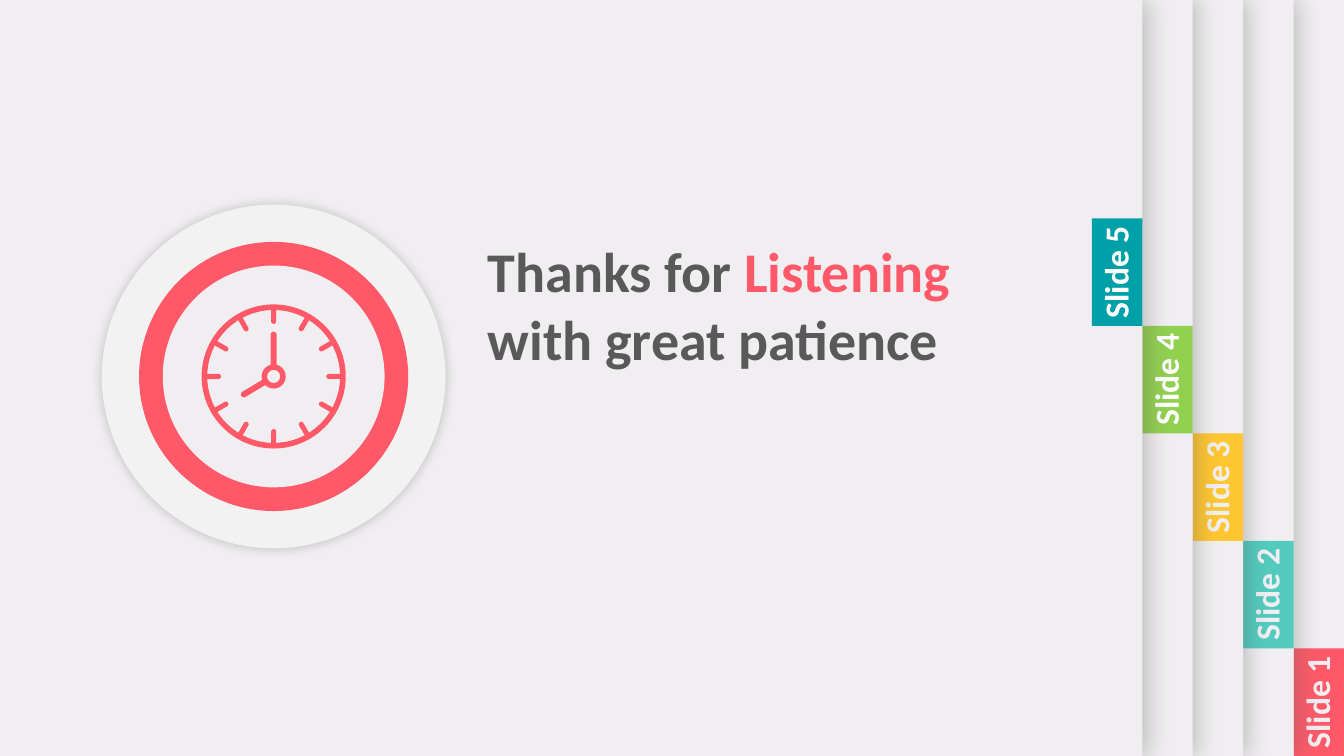
from dataclasses import dataclass
from math import cos, radians, sin

from lxml.etree import SubElement
from pptx import Presentation
from pptx.dml.color import RGBColor
from pptx.enum.shapes import MSO_SHAPE
from pptx.enum.text import MSO_ANCHOR, MSO_AUTO_SIZE, PP_ALIGN
from pptx.oxml.ns import qn
from pptx.shapes.autoshape import Shape
from pptx.slide import Slide
from pptx.text.text import Font
from pptx.util import Emu, Inches, Pt

COLUMNS, ROWS = 80, 45
SLIDE_WIDTH, SLIDE_HEIGHT = Inches(13.33), Inches(7.5)
TAB_WIDTH, TAB_HEIGHT = 3, 6.4
PANEL_WIDTH = 81.9
CLOCK_X, CLOCK_Y = 16.29, 22.41


@dataclass(frozen=True)
class Theme:
    paper: str = "F0EEF0"
    ink: str = "595959"
    accent: str = "FF5969"
    rim: str = "F2F2F2"
    white: str = "FFFFFF"
    black: str = "000000"
    font: str = "Calibri"
    title_size: int = 40
    label_size: int = 24


@dataclass(frozen=True)
class Shadow:
    color: str
    opacity: int
    blur: float
    distance: float


@dataclass(frozen=True)
class Tab:
    label: str
    fill: str
    text_color: str


@dataclass(frozen=True)
class Disc:
    diameter: float
    fill: str
    shadow: Shadow | None = None


@dataclass(frozen=True)
class Ray:
    """A clock tick or hand, placed by its angle from twelve and its radius."""
    angle: float
    radius: float
    width: float
    length: float
    kind: MSO_SHAPE
    adjustments: tuple[float, ...]


THEME = Theme()
PANEL_SHADOW = Shadow(THEME.ink, 35, 17, 3)
DISC_SHADOW = Shadow(THEME.black, 20, 8, 0)

TABS = [
    Tab("Slide 1", THEME.accent, THEME.paper),
    Tab("Slide 2", "52CBBE", THEME.paper),
    Tab("Slide 3", "FEC630", THEME.paper),
    Tab("Slide 4", "92D050", THEME.white),
    Tab("Slide 5", "00A0A8", THEME.white),
]
DISCS = [
    Disc(20.46, THEME.rim, DISC_SHADOW),
    Disc(16.02, THEME.accent),
    Disc(13.2, THEME.paper),
]
TICKS = [Ray(30 * hour, 3.63, 0.3, 1, MSO_SHAPE.ROUNDED_RECTANGLE, (0.5,))
         for hour in range(12)]
HANDS = [
    Ray(239, 1.38, 0.36, 1.74, MSO_SHAPE.ROUND_2_SAME_RECTANGLE, (0.5, 0)),
    Ray(0, 1.65, 0.36, 2.04, MSO_SHAPE.ROUND_2_SAME_RECTANGLE, (0.5, 0)),
]
RINGS = [(8.58, 0.039), (1.44, 0.226)]
TITLE_RUNS = [
    ("Thanks for ", THEME.ink),
    ("Listening ", THEME.accent),
    ("with great patience", THEME.ink),
]


def cells(left: float, top: float, width: float, height: float) -> tuple[Emu, ...]:
    """Turn grid columns and rows into slide lengths."""
    column, row = SLIDE_WIDTH / COLUMNS, SLIDE_HEIGHT / ROWS
    return (Emu(round(left * column)), Emu(round(top * row)),
            Emu(round(width * column)), Emu(round(height * row)))


def centered(x: float, y: float, width: float, height: float) -> tuple[Emu, ...]:
    return cells(x - width / 2, y - height / 2, width, height)


def style_font(font: Font, size: int, color: str) -> None:
    font.name, font.size, font.bold = THEME.font, Pt(size), True
    font.color.rgb = RGBColor.from_string(color)


def add_filled(slide: Slide, kind: MSO_SHAPE, frame: tuple[Emu, ...], fill: str,
               adjustments: tuple[float, ...] = ()) -> Shape:
    shape = slide.shapes.add_shape(kind, *frame)
    shape.shadow.inherit = False
    shape.fill.solid()
    shape.fill.fore_color.rgb = RGBColor.from_string(fill)
    shape.line.fill.background()
    for index, value in enumerate(adjustments):
        shape.adjustments[index] = value
    return shape


def cast_shadow(shape: Shape, shadow: Shadow) -> None:
    effects = shape.element.spPr.find(qn("a:effectLst"))
    outer = SubElement(effects, qn("a:outerShdw"), blurRad=str(Pt(shadow.blur)),
                       dist=str(Pt(shadow.distance)), dir="0", algn="ctr",
                       rotWithShape="0")
    color = SubElement(outer, qn("a:srgbClr"), val=shadow.color)
    SubElement(color, qn("a:alpha"), val=str(shadow.opacity * 1000))


def add_tab_panel(slide: Slide, index: int, tab: Tab) -> None:
    right = COLUMNS - TAB_WIDTH * index
    left, top = right - TAB_WIDTH, ROWS - TAB_HEIGHT * (index + 1)
    panel = add_filled(slide, MSO_SHAPE.RECTANGLE,
                       cells(right - PANEL_WIDTH, 0, PANEL_WIDTH, ROWS), THEME.paper)
    cast_shadow(panel, PANEL_SHADOW)
    add_filled(slide, MSO_SHAPE.RECTANGLE,
               cells(left, top, TAB_WIDTH, TAB_HEIGHT), tab.fill)
    label = slide.shapes.add_textbox(
        *centered(left + TAB_WIDTH / 2 - 0.12, top + TAB_HEIGHT / 2, 7.14, 3))
    label.rotation = 270
    label.text_frame.word_wrap = True
    label.text_frame.text = tab.label
    paragraph = label.text_frame.paragraphs[0]
    paragraph.alignment = PP_ALIGN.CENTER
    style_font(paragraph.runs[0].font, THEME.label_size, tab.text_color)


def place_title(slide: Slide) -> None:
    """Fill the title and bring it in front of the panels."""
    title = slide.shapes.title
    title.left, title.top, title.width, title.height = cells(28.44, 13.8, 28.92, 12.72)
    title.element.getparent().append(title.element)
    frame = title.text_frame
    frame.word_wrap, frame.auto_size = True, MSO_AUTO_SIZE.NONE
    frame.vertical_anchor = MSO_ANCHOR.TOP
    paragraph = frame.paragraphs[0]
    paragraph.alignment = PP_ALIGN.LEFT
    for words, color in TITLE_RUNS:
        run = paragraph.add_run()
        run.text = words
        style_font(run.font, THEME.title_size, color)


def add_ray(slide: Slide, ray: Ray) -> None:
    x = CLOCK_X + ray.radius * sin(radians(ray.angle))
    y = CLOCK_Y - ray.radius * cos(radians(ray.angle))
    shape = add_filled(slide, ray.kind, centered(x, y, ray.width, ray.length),
                       THEME.accent, ray.adjustments)
    shape.rotation = ray.angle


def add_clock(slide: Slide) -> None:
    for disc in DISCS:
        shape = add_filled(slide, MSO_SHAPE.OVAL,
                           centered(CLOCK_X, CLOCK_Y, disc.diameter, disc.diameter), disc.fill)
        if disc.shadow:
            cast_shadow(shape, disc.shadow)
    for diameter, thickness in RINGS:
        add_filled(slide, MSO_SHAPE.DONUT, centered(CLOCK_X, CLOCK_Y, diameter, diameter),
                   THEME.accent, (thickness,))
    for ray in TICKS + HANDS:
        add_ray(slide, ray)


def main() -> None:
    deck = Presentation()
    deck.slide_width, deck.slide_height = SLIDE_WIDTH, SLIDE_HEIGHT
    slide = deck.slides.add_slide(deck.slide_layouts.get_by_name("Title Only"))
    slide.background.fill.solid()
    slide.background.fill.fore_color.rgb = RGBColor.from_string(THEME.paper)
    for index, tab in enumerate(TABS):
        add_tab_panel(slide, index, tab)
    place_title(slide)
    add_clock(slide)
    deck.save("out.pptx")


if __name__ == "__main__":
    main()
